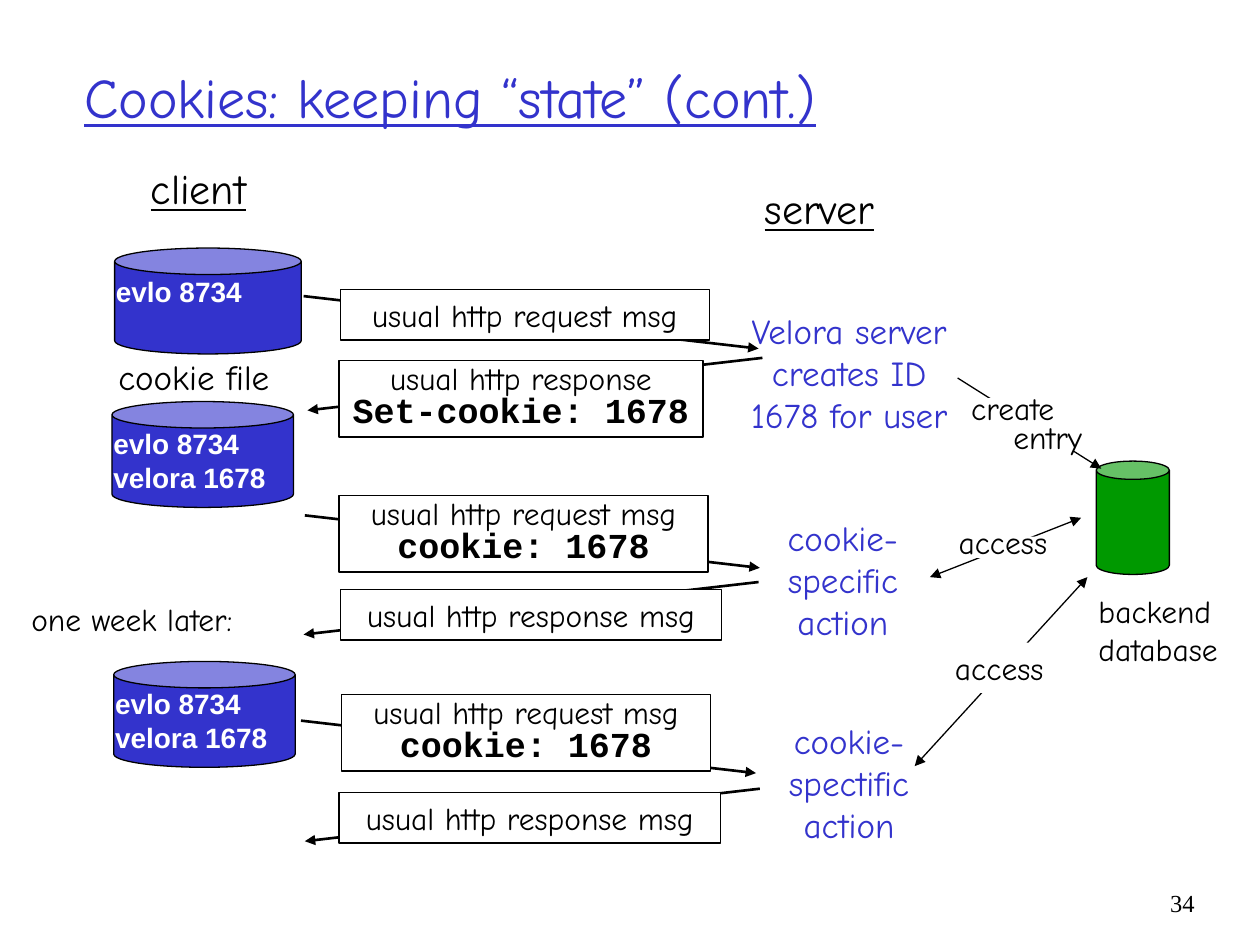
from lxml import etree
from pptx import Presentation
from pptx.dml.color import RGBColor
from pptx.enum.shapes import MSO_CONNECTOR, MSO_SHAPE
from pptx.enum.text import MSO_ANCHOR, PP_ALIGN
from pptx.oxml.ns import qn
from pptx.util import Pt

RECT, CAN = MSO_SHAPE.RECTANGLE, MSO_SHAPE.CAN
LINE = MSO_CONNECTOR.STRAIGHT
LEFT, MID, RIGHT = PP_ALIGN.LEFT, PP_ALIGN.CENTER, PP_ALIGN.RIGHT
TOP, CENTER = MSO_ANCHOR.TOP, MSO_ANCHOR.MIDDLE
BLUE, GREEN, BLACK, WHITE = "3333CC", "009900", "000000", "FFFFFF"
HAND, SANS, MONO, SERIF = "Comic Neue", "Arial", "Courier New", "Times New Roman"


def color(code):
    return RGBColor.from_string(code)


def write(frame, text, size=18, font=HAND, ink=BLACK, bold=False, under=False,
          align=LEFT, space=None, indent=0):
    for line in text.split("\n"):
        para = frame.paragraphs[-1]
        if para.runs:
            para = frame.add_paragraph()
        para.alignment = align
        para.line_spacing = space
        if indent:
            para._p.get_or_add_pPr().set("marL", str(Pt(indent)))
        run = para.add_run()
        run.text = line
        run.font.name, run.font.size = font, Pt(size)
        run.font.bold, run.font.underline = bold, under
        run.font.color.rgb = color(ink)


class Board:
    """Draw styled parts on the current slide, with lengths in points."""

    thin, thick = 0.75, 1.5

    def __init__(self, slide):
        self.shapes = slide.shapes

    def label(self, x, y, w, h, text, wrap=False, anchor=TOP, **style):
        frame = self.shapes.add_textbox(Pt(x), Pt(y), Pt(w), Pt(h)).text_frame
        frame.word_wrap = wrap
        frame.vertical_anchor = anchor
        write(frame, text, **style)
        return frame

    def shape(self, kind, x, y, w, h, fill=WHITE, edge=BLACK):
        item = self.shapes.add_shape(kind, Pt(x), Pt(y), Pt(w), Pt(h))
        item.shadow.inherit = False
        item.fill.solid()
        item.fill.fore_color.rgb = color(fill)
        if edge:
            item.line.color.rgb = color(edge)
            item.line.width = Pt(self.thin)
        else:
            item.line.fill.background()
        item.text_frame.vertical_anchor = TOP
        return item

    def arrow(self, start, end, width=thin, both=False):
        item = self.shapes.add_connector(LINE, *map(Pt, start + end))
        item.line.color.rgb = color(BLACK)
        item.line.width = Pt(width)
        line = item.line._get_or_add_ln()
        for tag in ["a:headEnd", "a:tailEnd"] if both else ["a:tailEnd"]:
            etree.SubElement(line, qn(tag), type="triangle")
        etree.SubElement(item._element.spPr, qn("a:effectLst"))

    def message(self, start, end, box, text, code=None):
        self.arrow(start, end, self.thick)
        frame = self.shape(RECT, *box).text_frame
        frame.word_wrap = True
        space = 0.8 if code else None
        write(frame, text, align=MID, space=space)
        if code:
            write(frame, code, 20, MONO, bold=True, align=MID, space=space)

    def store(self, x, y, w, text, gap=10.8):
        self.shape(CAN, x, y, w, 60.5, BLUE)
        self.label(x - 6.3, y + gap, 125, 46, text,
                   size=16, font=SANS, ink=WHITE, bold=True)


def main():
    deck = Presentation()
    deck.slide_width, deck.slide_height = Pt(720), Pt(540)
    board = Board(deck.slides.add_slide(deck.slide_layouts[6]))

    board.label(41, 10, 612, 90, "Cookies: keeping “state” (cont.)", wrap=True,
                anchor=CENTER, size=32, ink=BLUE, under=True)
    for x, y, text in [(63.4, 89.3, "client"), (418.3, 100.8, "server")]:
        board.label(x, y, 100, 36, text, size=24, under=True, align=MID)

    ask, reply = "usual http request msg", "usual http response msg"
    run, drop = 260, 30
    for x, y, back, box, text, code in [
        (173.5, 169.2, False, (194.4, 165.6, 211, 28.8), ask, None),
        (175.7, 204.5, True, (193.7, 205.9, 208, 43.9), "usual http response",
         "Set-cookie: 1678"),
        (174.2, 294.5, False, (193.7, 283, 211, 43.9), ask, "cookie: 1678"),
        (173.5, 332.6, True, (194.4, 337, 218, 28.8), reply, None),
        (172, 411.8, False, (195.1, 396.7, 211, 43.9), ask, "cookie: 1678"),
        (174.2, 450.7, True, (193.7, 452.9, 218, 28.8), reply, None),
    ]:
        near, far = (x, x + run)[::-1] if back else (x, x + run)
        board.message((near, y), (far, y + drop), box, text, code)

    board.label(60.5, 199.4, 140, 31.7, "cookie file", size=20)
    board.label(10.8, 339.1, 150, 28.8, "one week later:")
    board.store(65.5, 141.8, 106.6, "evlo 8734", 11.5)
    for x, y in [(64, 229.5), (65, 378)]:
        board.store(x, y, 103.7, "evlo 8734\nvelora 1678")

    for x, y, text in [
        (405.3, 173.5, "Velora server\ncreates ID\n1678 for user"),
        (401.7, 291.6, "cookie-\nspecific\naction"),
        (405.2, 407.5, "cookie-\nspectific\naction"),
    ]:
        board.label(x, y, 160, 79.2, text, size=20, ink=BLUE, align=MID)

    board.shape(CAN, 626.4, 263.5, 41.8, 64.8, GREEN)
    board.arrow((547.2, 216), (629.3, 267.8))
    board.shape(RECT, 558.7, 227.5, 75.6, 30.2, edge=None)
    entry = board.label(547.9, 223.9, 92.2, 39.6, "create", wrap=True, space=0.75)
    write(entry, "entry", space=0.75, indent=24)

    for start, end, mask, spot in [
        ((531.4, 329.8), (617.8, 295.9), (550.8, 306.7, 48.2, 12.2), (540.7, 295.2)),
        ((522.7, 437.8), (621.4, 329.8), (538.6, 367.2, 64.8, 28.8), (538.6, 367.2)),
    ]:
        board.arrow(start, end, both=True)
        board.shape(RECT, *mask, edge=None)
        board.label(*spot, 80, 28.8, "access")

    board.label(620.6, 334.8, 95, 50.4, "backend\ndatabase")
    board.label(653.8, 504, 36, 36, "34", wrap=True,
                size=14, font=SERIF, align=RIGHT)
    deck.save("out.pptx")


if __name__ == "__main__":
    main()
